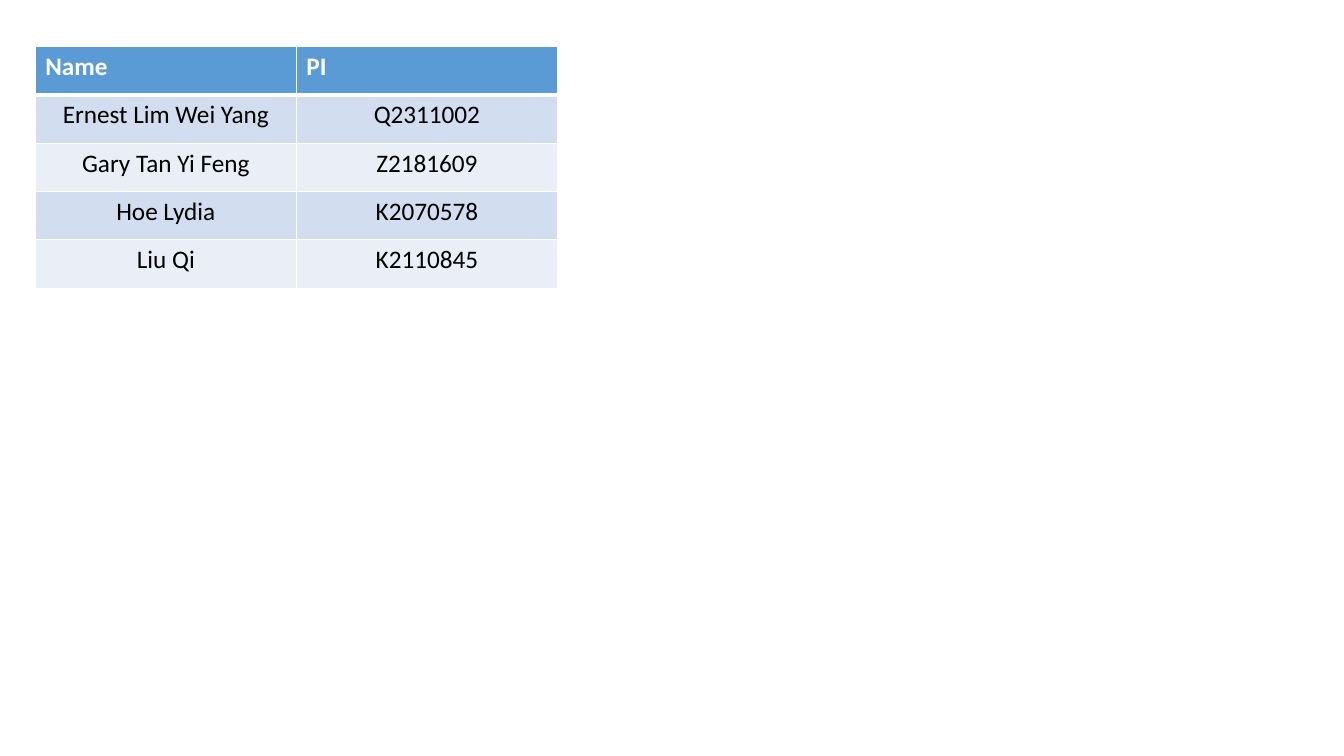
from dataclasses import dataclass

from lxml import etree
from pptx import Presentation
from pptx import util as u
from pptx.dml.color import RGBColor
from pptx.enum import text
from pptx.oxml import ns

HUES = {
    "head": "5B9BD5",
    "odd": "D2DEEF",
    "even": "EAEFF7",
    "white": "FFFFFF",
    "black": "000000",
}
WIDE, HIGH = 13.33, 7.5
COL, ROW = 2.59, 0.48
LEFT, TOP = 0.35, 0.46
THIN, THICK = 1, 3


@dataclass(frozen=True)
class Entry:
    name: str
    code: str


@dataclass(frozen=True)
class Look:
    fill: str
    ink: str
    bold: bool
    align: text.PP_ALIGN
    top: int
    base: int


TITLE = Entry("Name", "PI")
PEOPLE = [
    Entry("Ernest Lim Wei Yang", "Q2311002"),
    Entry("Gary Tan Yi Feng", "Z2181609"),
    Entry("Hoe Lydia", "K2070578"),
    Entry("Liu Qi", "K2110845"),
]


def look_for(row: int) -> Look:
    if row == 0:
        return Look("head", "white", True, text.PP_ALIGN.LEFT, THIN, THICK)
    fill = "odd" if row % 2 else "even"
    top = THICK if row == 1 else THIN
    return Look(fill, "black", False, text.PP_ALIGN.CENTER, top, THIN)


def add_edge(cell, side: str, width: int) -> None:
    props = cell._tc.get_or_add_tcPr()
    line = etree.SubElement(props, ns.qn(f"a:ln{side}"), w=str(u.Pt(width)))
    fill = etree.SubElement(line, ns.qn("a:solidFill"))
    etree.SubElement(fill, ns.qn("a:srgbClr"), val=HUES["white"])


def draw_cell(cell, words: str, look: Look) -> None:
    edges = {"L": THIN, "R": THIN, "T": look.top, "B": look.base}
    for side, width in edges.items():
        add_edge(cell, side, width)
    cell.fill.solid()
    cell.fill.fore_color.rgb = RGBColor.from_string(HUES[look.fill])
    para = cell.text_frame.paragraphs[0]
    para.alignment = look.align
    run = para.add_run()
    run.text = words
    run.font.name = "Calibri"
    run.font.size = u.Pt(18)
    run.font.bold = look.bold
    run.font.color.rgb = RGBColor.from_string(HUES[look.ink])


def draw_list(slide, rows: list[Entry]) -> None:
    frame = slide.shapes.add_table(
        len(rows), 2, u.Inches(LEFT), u.Inches(TOP),
        u.Inches(2 * COL), u.Inches(len(rows) * ROW),
    )
    grid = frame.table
    for col in grid.columns:
        col.width = u.Inches(COL)
    for row, entry in enumerate(rows):
        grid.rows[row].height = u.Inches(ROW)
        for col, words in enumerate((entry.name, entry.code)):
            draw_cell(grid.cell(row, col), words, look_for(row))


def main() -> None:
    deck = Presentation()
    deck.slide_width = u.Inches(WIDE)
    deck.slide_height = u.Inches(HIGH)
    slide = deck.slides.add_slide(deck.slide_layouts[6])
    draw_list(slide, [TITLE, *PEOPLE])
    deck.save("out.pptx")


if __name__ == "__main__":
    main()
